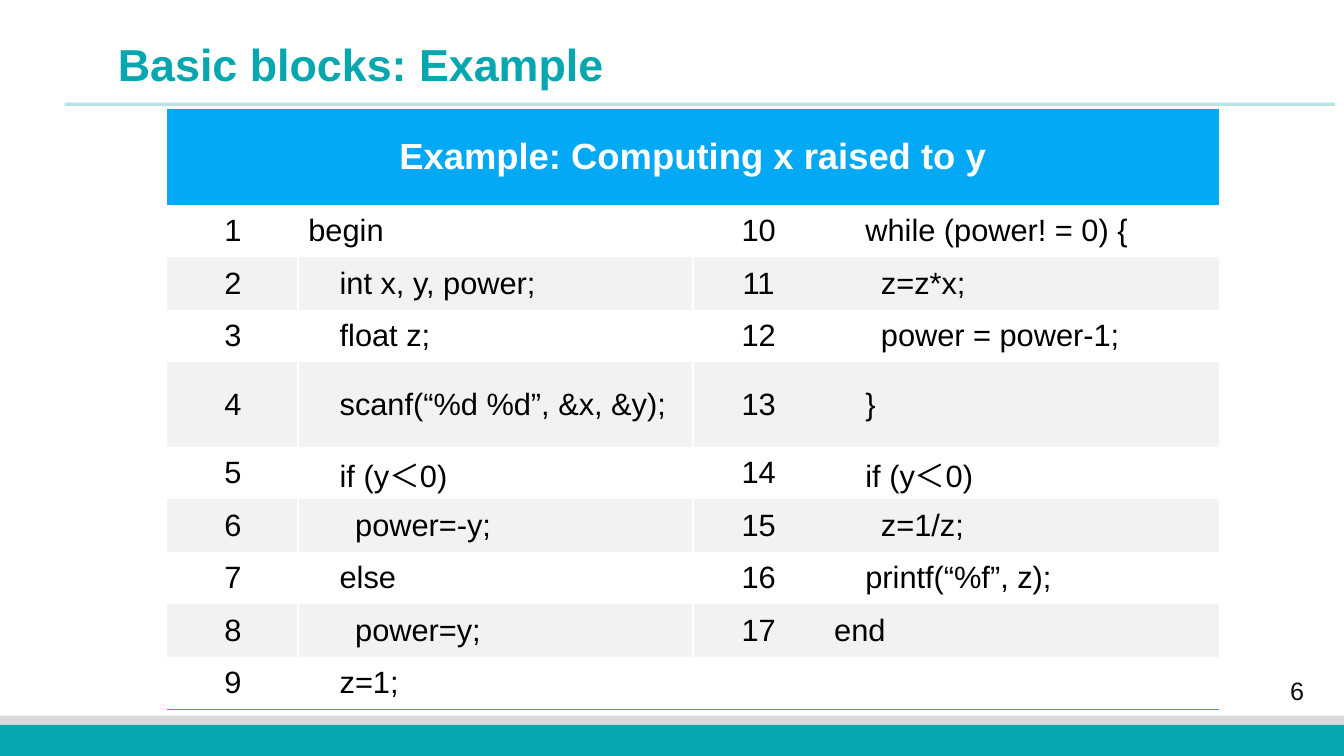
"""Build the slide showing the basic blocks example program."""
from dataclasses import dataclass
from typing import Optional

from pptx import Presentation
from pptx.dml.color import RGBColor as RGB
from pptx.enum.shapes import MSO_CONNECTOR as CONN, MSO_SHAPE as SHAPE
from pptx.enum.text import MSO_ANCHOR as ANCHOR, PP_ALIGN as ALIGN
from pptx.oxml.ns import qn
from pptx.oxml.xmlchemy import OxmlElement
from pptx.util import Inches, Length, Pt

TEAL = RGB(0x07, 0xA7, 0xAF)
SILVER = RGB(0xD9, 0xD9, 0xD9)
BLUE = RGB(0x03, 0xA9, 0xF5)
SKY = RGB(0x00, 0xB0, 0xF0)
WHITE = RGB(0xFF, 0xFF, 0xFF)
STRIPE = RGB(0xF2, 0xF2, 0xF2)
BLACK = RGB(0x00, 0x00, 0x00)
INK = RGB(0x0D, 0x0D, 0x0D)

WIDTH, HEIGHT = Inches(13.33), Inches(7.5)
FONT = "Arial"
PLAIN_TABLE = "{2D5ABB26-0587-4C30-8999-92F81FD0307C}"
COLUMNS = [9.75, 29.37] * 2
HEADER_ROW, CODE_ROW, TALL_ROW = 12.67, 6.95, 11.2
TALL_LINE = 4
INDENT_STEP = 1.16


@dataclass(frozen=True)
class Band:
    top: float
    height: float
    color: RGB


@dataclass(frozen=True)
class CodeLine:
    text: str
    level: int = 0


BANDS = [Band(94.67, 5.33, SILVER), Band(95.87, 4.13, TEAL)]
PROGRAM = [
    CodeLine("begin"),
    CodeLine("int x, y, power;", 2),
    CodeLine("float z;", 2),
    CodeLine("scanf(“%d %d”, &x, &y);", 2),
    CodeLine("if (y＜0)", 2),
    CodeLine("power=-y;", 3),
    CodeLine("else", 2),
    CodeLine("power=y;", 3),
    CodeLine("z=1;", 2),
    CodeLine("while (power! = 0) {", 2),
    CodeLine("z=z*x;", 3),
    CodeLine("power = power-1;", 3),
    CodeLine("}", 2),
    CodeLine("if (y＜0)", 2),
    CodeLine("z=1/z;", 3),
    CodeLine("printf(“%f”, z);", 2),
    CodeLine("end"),
]
LINES_PER_COLUMN = 9


def x(percent: float) -> Length:
    """Convert a percentage of the slide width to a length."""
    return Length(round(WIDTH * percent / 100))


def y(percent: float) -> Length:
    """Convert a percentage of the slide height to a length."""
    return Length(round(HEIGHT * percent / 100))


def write(tf, text: str, *, size: float, color: RGB, bold: bool = False,
          align: ALIGN = ALIGN.LEFT, level: int = 0,
          spacing: Optional[float] = None) -> None:
    """Put one formatted line of text into a text frame."""
    p = tf.paragraphs[0]
    p.alignment = align
    if spacing:
        p.line_spacing = spacing
    if level:
        pPr = p._p.get_or_add_pPr()
        pPr.set("marL", "0")
        pPr.set("indent", str(x(level * INDENT_STEP)))
    r = p.add_run()
    r.text = text
    r.font.name = FONT
    r.font.size = Pt(size)
    r.font.bold = bold
    r.font.color.rgb = color


def add_band(slide, band: Band) -> None:
    """Draw a full-width band at the foot of the slide."""
    sp = slide.shapes.add_shape(SHAPE.RECTANGLE, 0, y(band.top), WIDTH, y(band.height))
    sp.shadow.inherit = False
    sp.fill.solid()
    sp.fill.fore_color.rgb = band.color
    sp.line.fill.background()


def add_title_rule(slide) -> None:
    """Draw the translucent line below the title."""
    rule = slide.shapes.add_connector(CONN.STRAIGHT, x(4.8), y(13.8), x(99.32), y(13.8))
    rule.line.color.rgb = TEAL
    rule.line.width = Pt(2.25)
    alpha = OxmlElement("a:alpha")
    alpha.set("val", "30000")
    rule.line._ln.find(".//" + qn("a:srgbClr")).append(alpha)
    rule._element.spPr.append(OxmlElement("a:effectLst"))


def add_label(slide, text: str, left: float, top: float, width: float, height: float,
              anchor: ANCHOR, **style) -> None:
    """Add a wrapped text box placed by shares of the slide."""
    sp = slide.shapes.add_textbox(x(left), y(top), x(width), y(height))
    tf = sp.text_frame
    tf.word_wrap = True
    tf.vertical_anchor = anchor
    write(tf, text, **style)


def add_border(cell, side: str, color: RGB, width: float) -> None:
    """Give one side of a table cell a solid line."""
    ln = OxmlElement(f"a:ln{side}")
    ln.set("w", str(Pt(width)))
    fill = OxmlElement("a:solidFill")
    clr = OxmlElement("a:srgbClr")
    clr.set("val", str(color))
    fill.append(clr)
    ln.append(fill)
    cell._tc.get_or_add_tcPr().append(ln)


def paint(cell, color: RGB) -> None:
    """Fill a cell and centre its text vertically."""
    cell.fill.solid()
    cell.fill.fore_color.rgb = color
    cell.vertical_anchor = ANCHOR.MIDDLE


def add_program(slide) -> None:
    """Add the table of numbered code lines."""
    rows = [HEADER_ROW] + [CODE_ROW] * LINES_PER_COLUMN
    rows[TALL_LINE] = TALL_ROW
    frame = slide.shapes.add_table(len(rows), len(COLUMNS), x(12.45), y(14.4),
                                   x(sum(COLUMNS)), y(sum(rows)))
    table = frame.table
    frame._element.find(".//" + qn("a:tableStyleId")).text = PLAIN_TABLE
    for column, width in zip(table.columns, COLUMNS):
        column.width = x(width)
    for row, height in zip(table.rows, rows):
        row.height = y(height)

    header = table.cell(0, 0)
    header.merge(table.cell(0, len(COLUMNS) - 1))
    paint(header, BLUE)
    write(header.text_frame, "Example: Computing x raised to y", size=26,
          color=WHITE, bold=True, align=ALIGN.CENTER)

    for i in range(1, len(rows)):
        for j in range(len(COLUMNS)):
            cell = table.cell(i, j)
            if j < 2:
                add_border(cell, "RL"[j], WHITE, 1.5)
            if i == LINES_PER_COLUMN:
                add_border(cell, "B", SKY, 1)
            paint(cell, WHITE if i % 2 else STRIPE)

    for n, line in enumerate(PROGRAM):
        half, i = divmod(n, LINES_PER_COLUMN)
        number, code = (table.cell(i + 1, 2 * half + k).text_frame for k in (0, 1))
        write(number, str(n + 1), size=22, color=BLACK, align=ALIGN.CENTER)
        write(code, line.text, size=22, color=BLACK, level=line.level)


def main() -> None:
    """Build and save the slide."""
    prs = Presentation()
    prs.slide_width, prs.slide_height = WIDTH, HEIGHT
    slide = prs.slides.add_slide(prs.slide_layouts[6])
    for band in BANDS:
        add_band(slide, band)
    add_title_rule(slide)
    add_label(slide, "6", 93.1, 88.67, 6.83, 5.2, ANCHOR.MIDDLE,
              size=18, color=INK, align=ALIGN.CENTER)
    add_label(slide, "Basic blocks: Example", 8.03, 5, 91.97, 6.4, ANCHOR.TOP,
              size=32, color=TEAL, bold=True, spacing=0.9)
    add_program(slide)
    prs.save("out.pptx")


if __name__ == "__main__":
    main()
